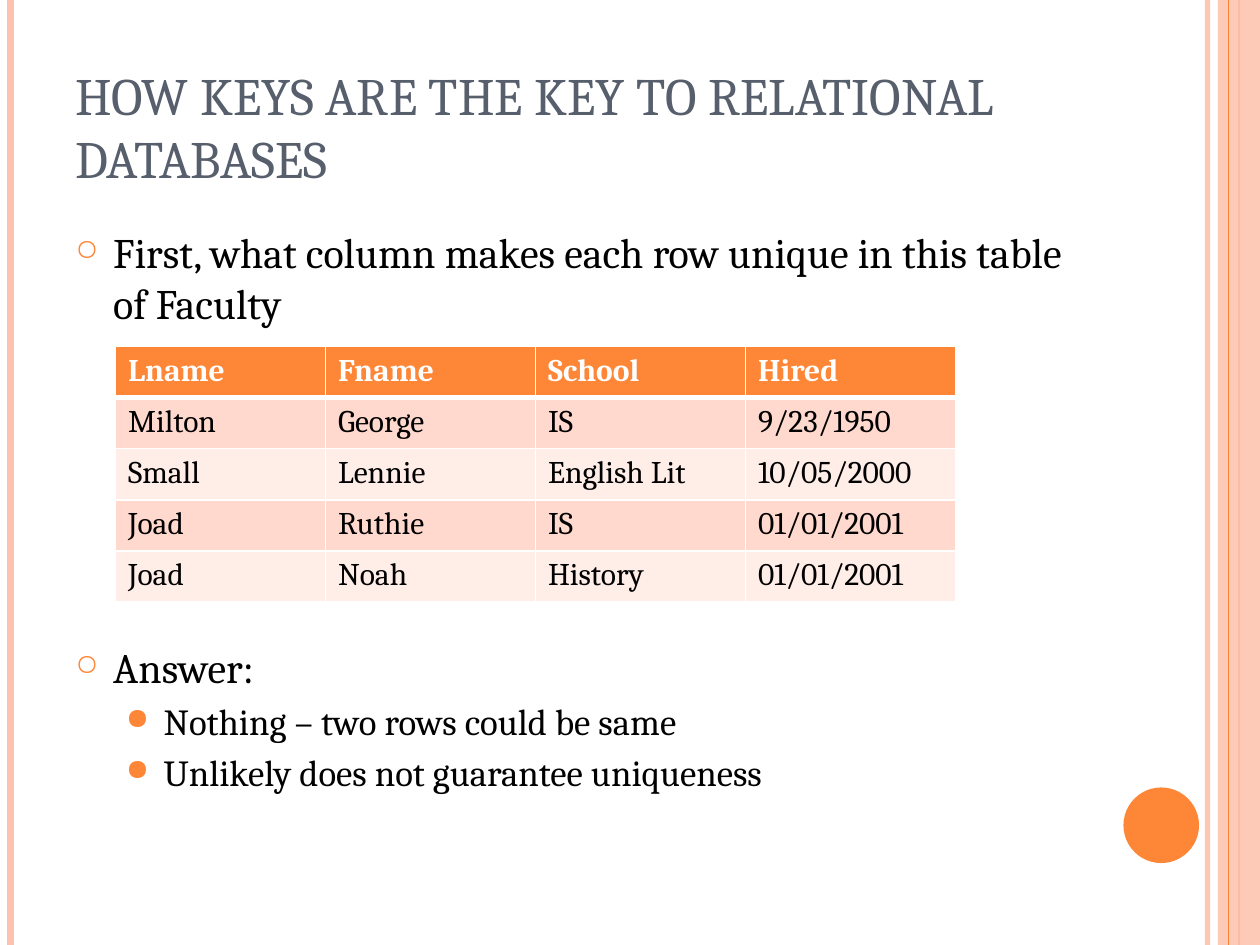
import dataclasses

import pptx
import pptx.dml.color
import pptx.enum.shapes
import pptx.enum.text
import pptx.oxml.ns
import pptx.oxml.xmlchemy
import pptx.util
from lxml import etree

Pt = pptx.util.Pt
FONT = "Cambria"
WIDE, HIGH = 720, 540
COLORS = {
    "orange": "FE8637",
    "peach": "FEC3AE",
    "slate": "575F6D",
    "black": "000000",
    "white": "FFFFFF",
    "odd": "FFD9CE",
    "even": "FFEDE8",
}


@dataclasses.dataclass
class Stripe:
    x: float
    width: float
    color: str
    alpha: int = 100


@dataclasses.dataclass
class Level:
    size: float
    indent: float
    space: float
    mark: str
    scale: int


LEFT = [Stripe(690, 3, "peach", 93), Stripe(6, 4.5, "peach"), Stripe(708, 1.5, "orange")]
EDGE = Stripe(702, 0.75, "orange")
TOP = Level(24, 21.6, 6, "○", 70)
SUB = Level(21, 50.4, 4, "●", 80)

ROWS = [
    ["Lname", "Fname", "School", "Hired"],
    ["Milton", "George", "IS", "9/23/1950"],
    ["Small", "Lennie", "English Lit", "10/05/2000"],
    ["Joad", "Ruthie", "IS", "01/01/2001"],
    ["Joad", "Noah", "History", "01/01/2001"],
]


def tint(name: str):
    return pptx.dml.color.RGBColor.from_string(COLORS[name])


def node(parent, tag: str, **attrs):
    child = etree.SubElement(parent, pptx.oxml.ns.qn(tag))
    for key, value in attrs.items():
        child.set(key, str(value))
    return child


def fade(props, alpha: int) -> None:
    """Set the opacity, in percent, of the first colour in props."""
    color = next(props.iter(pptx.oxml.ns.qn("a:srgbClr")))
    node(color, "a:alpha", val=alpha * 1000)


def write(para, text: str, *, size: float, color: str = "black", bold: bool = False) -> None:
    run = para.add_run()
    run.text = text
    run.font.name = FONT
    run.font.size = Pt(size)
    run.font.bold = bold
    run.font.color.rgb = tint(color)


def frame(slide, x: float, y: float, width: float, height: float):
    """Add a wrapping text box and return its text frame."""
    area = slide.shapes.add_textbox(Pt(x), Pt(y), Pt(width), Pt(height)).text_frame
    area.word_wrap = True
    return area


def draw_stripe(slide, stripe: Stripe) -> None:
    line = slide.shapes.add_connector(
        pptx.enum.shapes.MSO_CONNECTOR.STRAIGHT, Pt(stripe.x), 0, Pt(stripe.x), Pt(HIGH)
    )
    line.line.width = Pt(stripe.width)
    line.line.color.rgb = tint(stripe.color)
    props = line._element.spPr
    if stripe.alpha < 100:
        fade(props, stripe.alpha)
    node(props, "a:effectLst")


def draw_shape(slide, kind, x: float, y: float, width: float, height: float, color: str):
    shape = slide.shapes.add_shape(kind, Pt(x), Pt(y), Pt(width), Pt(height))
    shape.shadow.inherit = False
    shape.fill.solid()
    shape.fill.fore_color.rgb = tint(color)
    shape.line.fill.background()
    return shape


def draw_list(slide, y: float, height: float, items: list[tuple[Level, str]]) -> None:
    area = frame(slide, 36, y, 588, height)
    for i, (level, text) in enumerate(items):
        para = area.add_paragraph() if i else area.paragraphs[0]
        para.space_before = Pt(level.space)
        props = para._p.get_or_add_pPr()
        props.set("marL", str(Pt(level.indent)))
        props.set("indent", str(-Pt(21.6)))
        node(node(props, "a:buClr"), "a:srgbClr", val=COLORS["orange"])
        node(props, "a:buSzPct", val=level.scale * 1000)
        node(props, "a:buChar", char=level.mark)
        write(para, text, size=level.size)


def edge_cell(cell, top: float, bottom: float) -> None:
    """Give a cell white borders; the sides are one point wide."""
    props = cell._tc.get_or_add_tcPr()
    for tag, width in (("a:lnL", 1), ("a:lnR", 1), ("a:lnT", top), ("a:lnB", bottom)):
        fill = node(node(props, tag, w=Pt(width)), "a:solidFill")
        node(fill, "a:srgbClr", val=COLORS["white"])


def draw_table(slide) -> None:
    col, row = 120, 29.2
    count = len(ROWS[0])
    table = slide.shapes.add_table(
        len(ROWS), count, Pt(66), Pt(198), Pt(col * count), Pt(row * len(ROWS))
    ).table
    for r, names in enumerate(ROWS):
        table.rows[r].height = Pt(row)
        head = r == 0
        back = "orange" if head else "odd" if r % 2 else "even"
        for c, text in enumerate(names):
            cell = table.cell(r, c)
            edge_cell(cell, top=3 if r == 1 else 1, bottom=3 if head else 1)
            cell.fill.solid()
            cell.fill.fore_color.rgb = tint(back)
            write(cell.text_frame.paragraphs[0], text, size=18,
                  color="white" if head else "black", bold=head)


def main() -> None:
    deck = pptx.Presentation()
    deck.slide_width, deck.slide_height = Pt(WIDE), Pt(HIGH)
    slide = deck.slides.add_slide(deck.slide_layouts[6])
    kinds = pptx.enum.shapes.MSO_SHAPE

    for stripe in LEFT:
        draw_stripe(slide, stripe)
    band = draw_shape(slide, kinds.RECTANGLE, 696, 0, 24, HIGH, "peach")
    fade(band._element.spPr, 87)
    draw_stripe(slide, EDGE)
    draw_shape(slide, kinds.OVAL, 642, 450, 43.2, 43.2, "orange")

    title = frame(slide, 36, 21.6, 588, 90)
    title.vertical_anchor = pptx.enum.text.MSO_ANCHOR.BOTTOM
    write(title.paragraphs[0], "HOW KEYS ARE THE KEY TO RELATIONAL DATABASES",
          size=30, color="slate")

    draw_list(slide, 126, 70, [
        (TOP, "First, what column makes each row unique in this table of Faculty"),
    ])
    draw_list(slide, 363, 147, [
        (TOP, "Answer:"),
        (SUB, "Nothing – two rows could be same"),
        (SUB, "Unlikely does not guarantee uniqueness"),
    ])
    draw_table(slide)
    deck.save("out.pptx")


if __name__ == "__main__":
    main()
